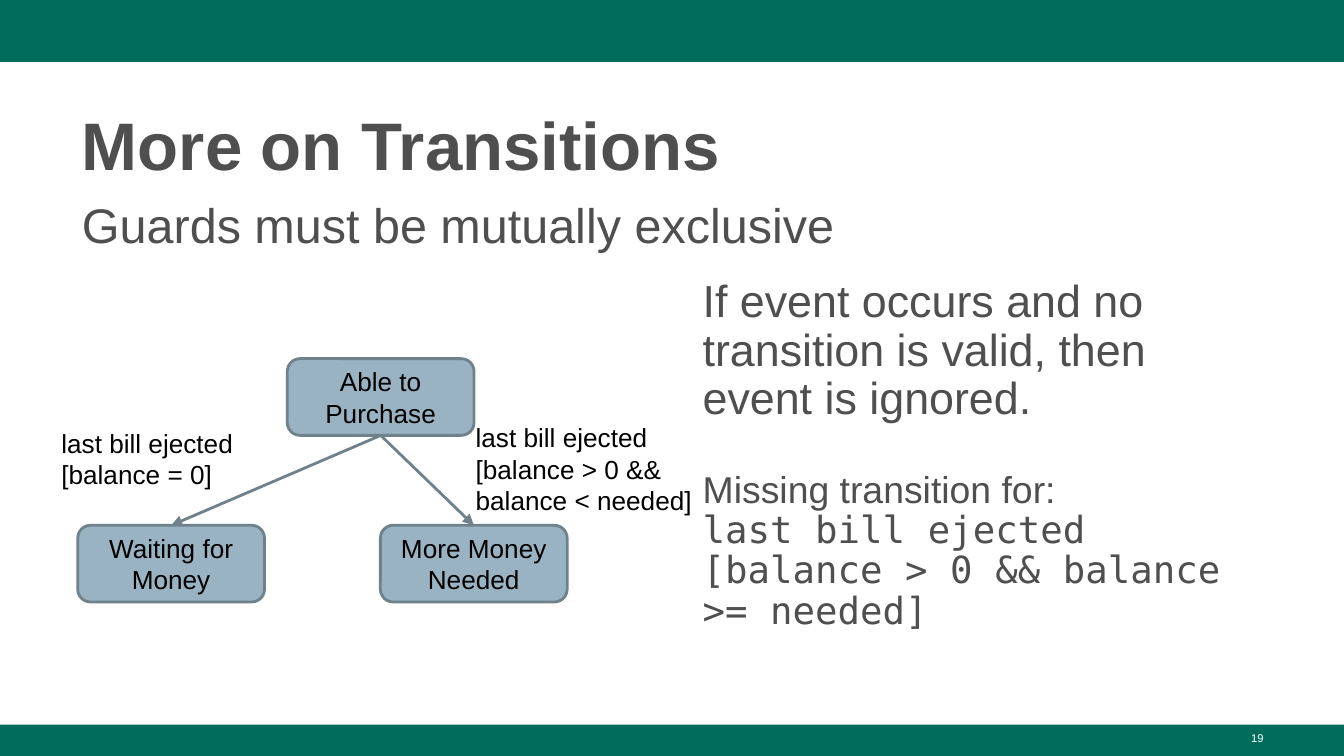
from lxml.etree import SubElement as Sub
from pptx import Presentation
from pptx.dml.color import RGBColor
from pptx.enum.shapes import MSO_CONNECTOR as Link, MSO_SHAPE as Shape
from pptx.enum.text import MSO_ANCHOR as Anchor, PP_ALIGN as Align
from pptx.oxml.ns import qn
from pptx.util import Cm, Pt

GREEN = RGBColor(0x00, 0x6C, 0x5C)
GRAY = RGBColor(0x4F, 0x4F, 0x4F)
BLUE = RGBColor(0x99, 0xB3, 0xC2)
SLATE = RGBColor(0x6F, 0x82, 0x8C)
BLACK = RGBColor(0, 0, 0)
WHITE = RGBColor(255, 255, 255)
WIDE, HIGH = 25.4, 14.29
NODE_W, NODE_H = 3.53, 1.45
MONO = "DejaVu Sans Mono"


def style(par, size, color, name="Arial", bold=False):
    for run in par.runs:
        font = run.font
        font.size, font.name, font.bold = Pt(size), name, bold
        font.color.rgb = color


def set_frame(frame, pad):
    frame.word_wrap = True
    frame.margin_left = frame.margin_right = Cm(0.25)
    frame.margin_top = frame.margin_bottom = Cm(pad)


def add_text(slide, box, lines, size, color, pad=0.25, bold=False):
    frame = slide.shapes.add_textbox(*map(Cm, box)).text_frame
    set_frame(frame, pad)
    frame.text = "\n".join(lines)
    for par in frame.paragraphs:
        style(par, size, color, bold=bold)
    return frame


def add_bar(slide, box):
    bar = slide.shapes.add_shape(Shape.RECTANGLE, *map(Cm, box))
    bar.shadow.inherit = False
    bar.fill.solid()
    bar.fill.fore_color.rgb = GREEN
    bar.line.fill.background()


def add_node(slide, x, y, text):
    node = slide.shapes.add_shape(
        Shape.ROUNDED_RECTANGLE, Cm(x), Cm(y), Cm(NODE_W), Cm(NODE_H))
    node.shadow.inherit = False
    node.fill.solid()
    node.fill.fore_color.rgb = BLUE
    node.line.color.rgb, node.line.width = SLATE, Pt(1.5)
    frame = node.text_frame
    set_frame(frame, 0.25)
    frame.vertical_anchor = Anchor.MIDDLE
    frame.text = text
    par = frame.paragraphs[0]
    par.alignment = Align.CENTER
    style(par, 14, BLACK)
    return node


def add_arrow(slide, start, end):
    arrow = slide.shapes.add_connector(Link.STRAIGHT, 0, 0, 0, 0)
    arrow.begin_connect(start, 2)  # bottom middle
    arrow.end_connect(end, 0)  # top middle
    arrow.line.color.rgb, arrow.line.width = SLATE, Pt(1.5)
    Sub(arrow.line._get_or_add_ln(), qn("a:tailEnd"), type="triangle")
    Sub(arrow._element.spPr, qn("a:effectLst"))


def add_bands(slide, box):
    x, y, w, h = box
    foot = 0.59
    add_bar(slide, (x, y, w, 1.17))
    add_bar(slide, (x, y + h - foot, w, foot))
    # Page number
    num = add_text(slide, (x + 18.2, y + h - foot, 5.93, foot), ["19"],
                   6, WHITE, 0.13)
    num.paragraphs[0].alignment = Align.RIGHT


def add_head(slide, box):
    x, y, w, h = box
    title = add_text(slide, (x, y, w, 1.85), ["More on Transitions"],
                     36, GRAY, 0.13, True)
    title.paragraphs[0].line_spacing = 1.08
    add_text(slide, (x, y + 1.85, w, h - 1.85),
             ["Guards must be mutually exclusive"], 26, GRAY, 0.13)


def add_states(slide, box):
    x, y, w, h = box
    low = y + h - NODE_H
    # States
    able = add_node(slide, x + 4.52, y, "Able to Purchase")
    wait = add_node(slide, x + 0.56, low, "Waiting for Money")
    more = add_node(slide, x + 6.28, low, "More Money Needed")
    # Transitions
    for end in (wait, more):
        add_arrow(slide, able, end)
    # Guards
    event, wide = "last bill ejected", 4.95
    add_text(slide, (x, y + 1.04, wide, 0.66),
             [event, "[balance = 0]"], 14, BLACK)
    add_text(slide, (x + w - wide, y + 0.94, wide, 0.66),
             [event, "[balance > 0 && balance < needed]"], 14, BLACK)


def add_notes(slide, box):
    frame = add_text(slide, box, [
        "If event occurs and no transition is valid, then event is ignored.",
        "Missing transition for:",
        "last bill ejected [balance > 0 && balance >= needed]"], 24, GRAY)
    frame.vertical_anchor = Anchor.MIDDLE
    _, lead, guard = frame.paragraphs
    for par in frame.paragraphs:
        par.line_spacing = 0.9
    lead.space_before = Pt(25)
    style(lead, 20, GRAY)
    style(guard, 20, GRAY, MONO)


def main():
    deck = Presentation()
    deck.slide_width, deck.slide_height = Cm(WIDE), Cm(HIGH)
    slide = deck.slides.add_slide(deck.slide_layouts[6])
    add_bands(slide, (0, 0, WIDE, HIGH))
    add_head(slide, (1.3, 1.7, 22.83, 11.53))
    add_notes(slide, (13.03, 4.45, 11.1, 8.33))
    add_states(slide, (0.91, 6.78, 12.78, 4.6))
    deck.save("out.pptx")


if __name__ == "__main__":
    main()
